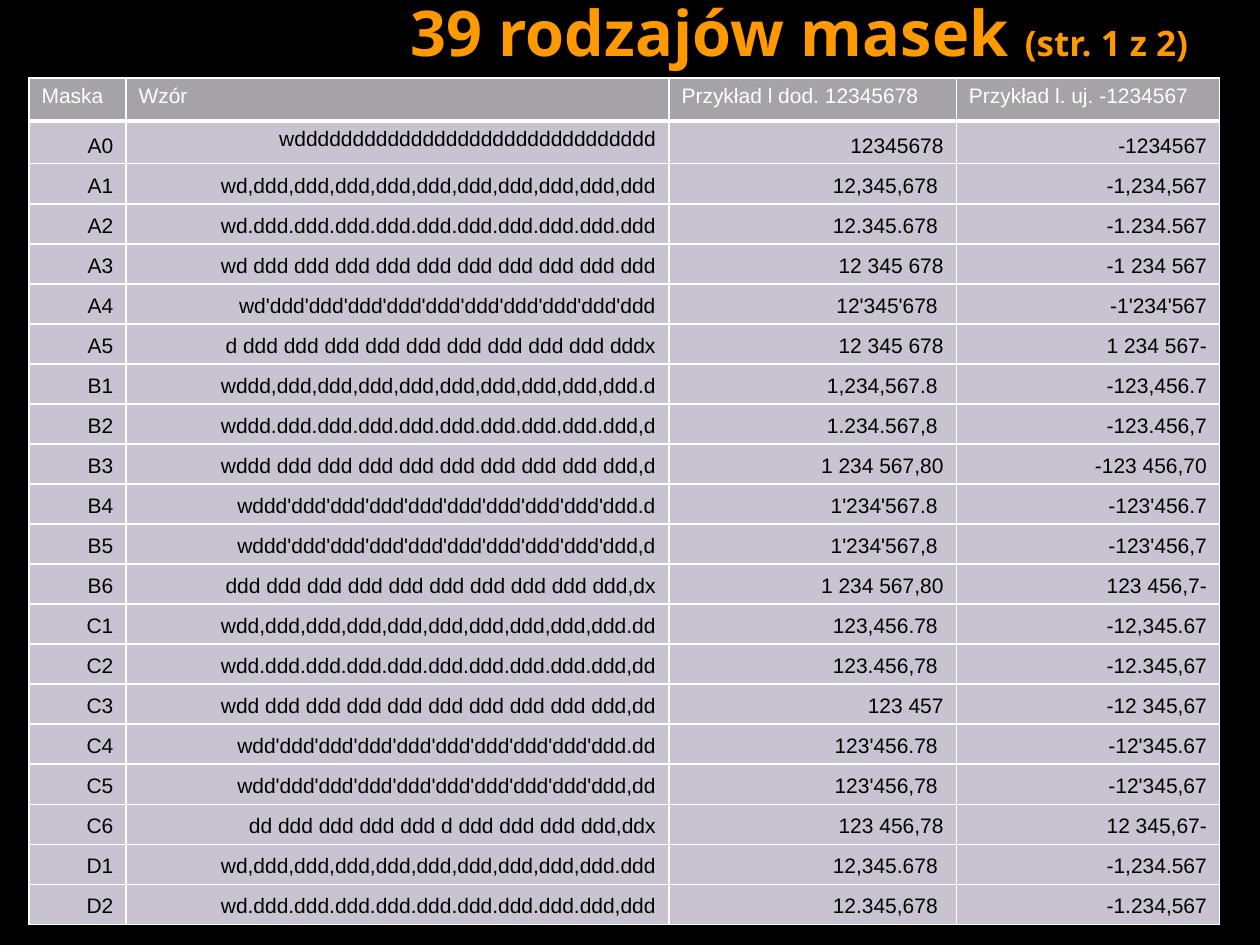
import dataclasses
import typing

import pptx
import pptx.dml.color
import pptx.enum.text
import pptx.oxml.ns
import pptx.util
from lxml import etree

Inches = pptx.util.Inches
Align = pptx.enum.text.PP_ALIGN
Anchor = pptx.enum.text.MSO_ANCHOR


@dataclasses.dataclass(frozen=True)
class Theme:
    background: str = "000000"
    accent: str = "FF9900"
    header_fill: str = "A5A3A8"
    header_text: str = "FFFFFF"
    body_fill: str = "C9C2D1"
    body_text: str = "000000"
    border: str = "FFFFFF"
    title_font: str = "Noto Sans"
    table_font: str = "Arial"
    title_size: int = 36
    page_size: int = 20
    table_size: int = 12


class Mask(typing.NamedTuple):
    code: str
    pattern: str
    positive: str
    negative: str


THEME = Theme()
HEADERS = ("Maska", "Wzór", "Przykład l dod. 12345678", "Przykład l. uj. -1234567")
MASKS = (
    Mask("A0", "wddddddddddddddddddddddddddddddd", "12345678", "-1234567"),
    Mask("A1", "wd,ddd,ddd,ddd,ddd,ddd,ddd,ddd,ddd,ddd,ddd", "12,345,678 ", "-1,234,567"),
    Mask("A2", "wd.ddd.ddd.ddd.ddd.ddd.ddd.ddd.ddd.ddd.ddd", "12.345.678 ", "-1.234.567"),
    Mask("A3", "wd ddd ddd ddd ddd ddd ddd ddd ddd ddd ddd", "12 345 678", "-1 234 567"),
    Mask("A4", "wd'ddd'ddd'ddd'ddd'ddd'ddd'ddd'ddd'ddd'ddd", "12'345'678 ", "-1'234'567"),
    Mask("A5", "d ddd ddd ddd ddd ddd ddd ddd ddd ddd dddx", "12 345 678", "1 234 567-"),
    Mask("B1", "wddd,ddd,ddd,ddd,ddd,ddd,ddd,ddd,ddd,ddd.d", "1,234,567.8 ", "-123,456.7"),
    Mask("B2", "wddd.ddd.ddd.ddd.ddd.ddd.ddd.ddd.ddd.ddd,d", "1.234.567,8 ", "-123.456,7"),
    Mask("B3", "wddd ddd ddd ddd ddd ddd ddd ddd ddd ddd,d", "1 234 567,80", "-123 456,70"),
    Mask("B4", "wddd'ddd'ddd'ddd'ddd'ddd'ddd'ddd'ddd'ddd.d", "1'234'567.8 ", "-123'456.7"),
    Mask("B5", "wddd'ddd'ddd'ddd'ddd'ddd'ddd'ddd'ddd'ddd,d", "1'234'567,8 ", "-123'456,7"),
    Mask("B6", "ddd ddd ddd ddd ddd ddd ddd ddd ddd ddd,dx", "1 234 567,80", "123 456,7-"),
    Mask("C1", "wdd,ddd,ddd,ddd,ddd,ddd,ddd,ddd,ddd,ddd.dd", "123,456.78 ", "-12,345.67"),
    Mask("C2", "wdd.ddd.ddd.ddd.ddd.ddd.ddd.ddd.ddd.ddd,dd", "123.456,78 ", "-12.345,67"),
    Mask("C3", "wdd ddd ddd ddd ddd ddd ddd ddd ddd ddd,dd", "123 457", "-12 345,67"),
    Mask("C4", "wdd'ddd'ddd'ddd'ddd'ddd'ddd'ddd'ddd'ddd.dd", "123'456.78 ", "-12'345.67"),
    Mask("C5", "wdd'ddd'ddd'ddd'ddd'ddd'ddd'ddd'ddd'ddd,dd", "123'456,78 ", "-12'345,67"),
    Mask("C6", "dd ddd ddd ddd ddd d ddd ddd ddd ddd,ddx", "123 456,78", "12 345,67-"),
    Mask("D1", "wd,ddd,ddd,ddd,ddd,ddd,ddd,ddd,ddd,ddd.ddd", "12,345.678 ", "-1,234.567"),
    Mask("D2", "wd.ddd.ddd.ddd.ddd.ddd.ddd.ddd.ddd.ddd,ddd", "12.345,678 ", "-1.234,567"),
)
COLUMN_WIDTHS = (0.77, 4.31, 2.28, 2.09)
TABLE_HEIGHT = 6.72
TALL_ROW = 0.34
TALL_ROWS = 2


def rgb(color: str) -> pptx.dml.color.RGBColor:
    return pptx.dml.color.RGBColor.from_string(color)


def add_run(p, text: str, font: str, size: int, color: str, bold: bool = False) -> None:
    r = p.add_run()
    r.text = text
    r.font.name = font
    r.font.size = pptx.util.Pt(size)
    r.font.bold = bold
    r.font.color.rgb = rgb(color)


def add_borders(cell, bottom: int) -> None:
    qn = pptx.oxml.ns.qn
    tc_pr = cell._tc.get_or_add_tcPr()
    for side, width in (("lnL", 1), ("lnR", 1), ("lnT", 1), ("lnB", bottom)):
        ln = etree.SubElement(tc_pr, qn(f"a:{side}"), w=str(pptx.util.Pt(width)))
        fill = etree.SubElement(ln, qn("a:solidFill"))
        etree.SubElement(fill, qn("a:srgbClr"), val=THEME.border)


def add_space_before(p, percent: int) -> None:
    qn = pptx.oxml.ns.qn
    spacing = etree.SubElement(p._p.get_or_add_pPr(), qn("a:spcBef"))
    etree.SubElement(spacing, qn("a:spcPct"), val=str(percent * 1000))


def fill_cell(cell, text: str, header: bool, raised: bool) -> None:
    add_borders(cell, 3 if header else 1)
    cell.fill.solid()
    cell.fill.fore_color.rgb = rgb(THEME.header_fill if header else THEME.body_fill)
    p = cell.text_frame.paragraphs[0]
    p.alignment = Align.LEFT if header else Align.RIGHT
    cell.vertical_anchor = Anchor.TOP if raised else Anchor.BOTTOM
    if not raised:
        add_space_before(p, 20)
    color = THEME.header_text if header else THEME.body_text
    add_run(p, text, THEME.table_font, THEME.table_size, color)


def add_title(s) -> None:
    title = s.shapes.title
    title.left, title.top = Inches(1.75), Inches(-0.08)
    title.width, title.height = Inches(7.78), Inches(0.63)
    tf = title.text_frame
    tf.auto_size = pptx.enum.text.MSO_AUTO_SIZE.NONE
    tf.word_wrap = True
    tf.vertical_anchor = Anchor.BOTTOM
    tf.margin_left = tf.margin_right = Inches(0.1)
    tf.margin_top, tf.margin_bottom = Inches(0.05), 0
    p = tf.paragraphs[0]
    p.alignment = Align.RIGHT
    add_run(p, "39 rodzajów masek ", THEME.title_font, THEME.title_size, THEME.accent, True)
    add_run(p, "(str. 1 z 2)", THEME.title_font, THEME.page_size, THEME.accent, True)


def add_mask_table(s) -> None:
    rows = (HEADERS, *MASKS)
    table = s.shapes.add_table(
        len(rows), len(HEADERS), Inches(0.23), Inches(0.62),
        Inches(sum(COLUMN_WIDTHS)), Inches(TABLE_HEIGHT),
    ).table
    table.horz_banding = False
    for column, width in zip(table.columns, COLUMN_WIDTHS):
        column.width = Inches(width)
    short_row = (TABLE_HEIGHT - TALL_ROWS * TALL_ROW) / (len(rows) - TALL_ROWS)
    for i, values in enumerate(rows):
        table.rows[i].height = Inches(TALL_ROW if i < TALL_ROWS else short_row)
        for j, text in enumerate(values):
            header = i == 0
            fill_cell(table.cell(i, j), text, header, header or (i, j) == (1, 1))


def main() -> None:
    prs = pptx.Presentation()
    prs.slide_width, prs.slide_height = Inches(10), Inches(7.5)
    s = prs.slides.add_slide(prs.slide_layouts[5])
    s.background.fill.solid()
    s.background.fill.fore_color.rgb = rgb(THEME.background)
    add_title(s)
    add_mask_table(s)
    prs.save("out.pptx")


if __name__ == "__main__":
    main()
